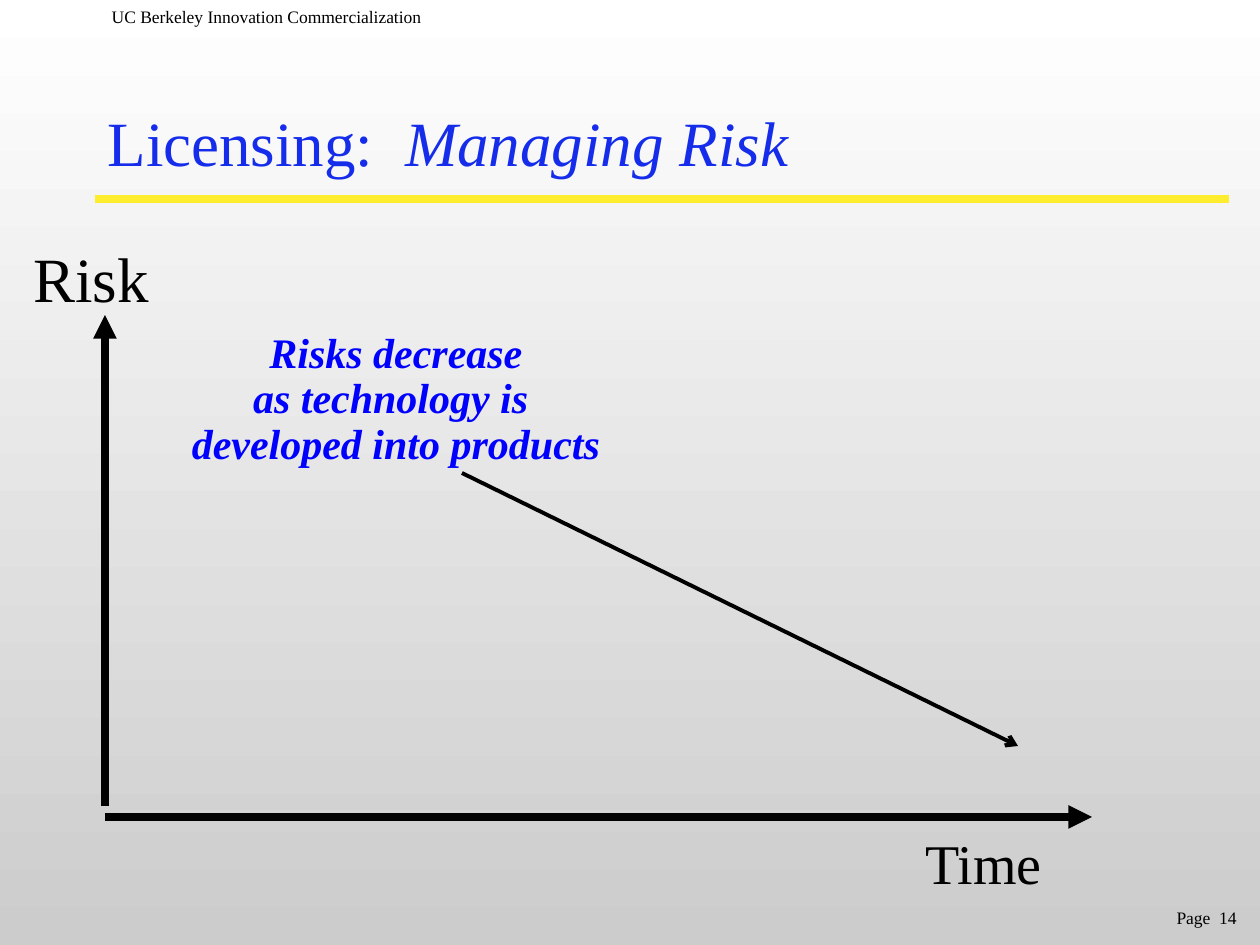
import pptx
import pptx.dml.color
import pptx.enum.shapes
import pptx.enum.text
import pptx.oxml
import pptx.util
from dataclasses import dataclass

ALIGN = pptx.enum.text.PP_ALIGN
ANCHOR = pptx.enum.text.MSO_ANCHOR
AUTO = pptx.enum.text.MSO_AUTO_SIZE
NS = 'xmlns:a="http://schemas.openxmlformats.org/drawingml/2006/main"'


def rgb(value):
    return pptx.dml.color.RGBColor.from_string(value)


def px(n):
    """Convert pixels, 126 to the inch, to EMU."""
    return pptx.util.Emu(round(n * 914400 / 126))


@dataclass(frozen=True)
class Theme:
    font: str = "Times New Roman"
    ink: str = "000000"
    title: str = "152DEB"
    rule: str = "FEEC2E"
    note: str = "0000FF"
    sky: str = "FFFFFF"
    ground: str = "CCCCCC"
    small: int = 10
    body: int = 24
    label: int = 32
    large: int = 36
    axis: float = 4.5
    trend: float = 2.25


class Deck:
    def __init__(self, theme):
        self.theme = theme
        self.prs = pptx.Presentation()
        self.prs.slide_width, self.prs.slide_height = px(1260), px(945)
        self.s = self.prs.slides.add_slide(self.prs.slide_layouts[5])

    def background(self):
        fill = self.s.background.fill
        fill.gradient()
        fill.gradient_angle = 270
        for stop, color in zip(fill.gradient_stops, (self.theme.sky, self.theme.ground)):
            stop.color.rgb = rgb(color)

    def run(self, p, text, size, color, **fmt):
        r = p.add_run()
        r.text = text
        r.font.color.rgb = rgb(color)
        values = dict(name=self.theme.font, size=pptx.util.Pt(size), **fmt)
        for name, value in values.items():
            setattr(r.font, name, value)

    def title(self, box, plain, italic):
        sp = self.s.shapes.title
        sp.left, sp.top, sp.width, sp.height = map(px, box)
        tf = sp.text_frame
        tf.auto_size, tf.vertical_anchor = AUTO.NONE, ANCHOR.MIDDLE
        p = tf.paragraphs[0]
        p.alignment = ALIGN.LEFT
        self.run(p, plain, self.theme.large, self.theme.title)
        self.run(p, italic, self.theme.large, self.theme.title, italic=True)

    def text(self, box, lines, size, color=None, align=ALIGN.LEFT,
             anchor=ANCHOR.TOP, fit=False, **fmt):
        """Add a text box; fit makes it an unwrapped label with tight lines."""
        tf = self.s.shapes.add_textbox(*map(px, box)).text_frame
        tf.word_wrap = not fit
        tf.auto_size = AUTO.SHAPE_TO_FIT_TEXT if fit else AUTO.NONE
        tf.vertical_anchor = anchor
        for i, line in enumerate(lines):
            p = tf.add_paragraph() if i else tf.paragraphs[0]
            p.alignment = align
            if fit:
                p.line_spacing = 0.9
            self.run(p, line, size, color or self.theme.ink, **fmt)

    def line(self, start, end, width, color=None, head=None):
        sp = self.s.shapes.add_connector(
            pptx.enum.shapes.MSO_CONNECTOR.STRAIGHT, *map(px, (*start, *end)))
        sp.line.color.rgb = rgb(color or self.theme.ink)
        sp.line.width = pptx.util.Pt(width)
        if head:
            sp.line._get_or_add_ln().append(
                pptx.oxml.parse_xml(f'<a:tailEnd {NS} type="{head}"/>'))
        sp._element.spPr.append(pptx.oxml.parse_xml(f"<a:effectLst {NS}/>"))


def main():
    t = Theme()
    d = Deck(t)
    d.background()
    d.text((987, 871, 262, 63), ["Page  14"], t.small, align=ALIGN.RIGHT, anchor=ANCHOR.BOTTOM)
    d.title((95, 62, 1165, 158), "Licensing:  ", "Managing Risk")
    d.line((95, 199), (1229, 199), t.axis, t.rule)

    d.line((105, 817), (1092, 817), t.axis, head="triangle")
    d.text((913, 830, 146, 73), ["Time"], t.label, fit=True)
    d.line((105, 806), (105, 315), t.axis, head="triangle")
    d.text((21, 242, 144, 81), ["Risk"], t.large, fit=True)

    d.line((462, 473), (1018, 746), t.trend, head="arrow")
    d.text((176, 326, 440, 149),
           ["Risks decrease", "as technology is ", "developed into products"],
           t.body, t.note, ALIGN.CENTER, fit=True, bold=True, italic=True)
    d.text((95, 0, 431, 63), [" UC Berkeley Innovation Commercialization"], t.small)
    d.prs.save("out.pptx")


if __name__ == "__main__":
    main()
